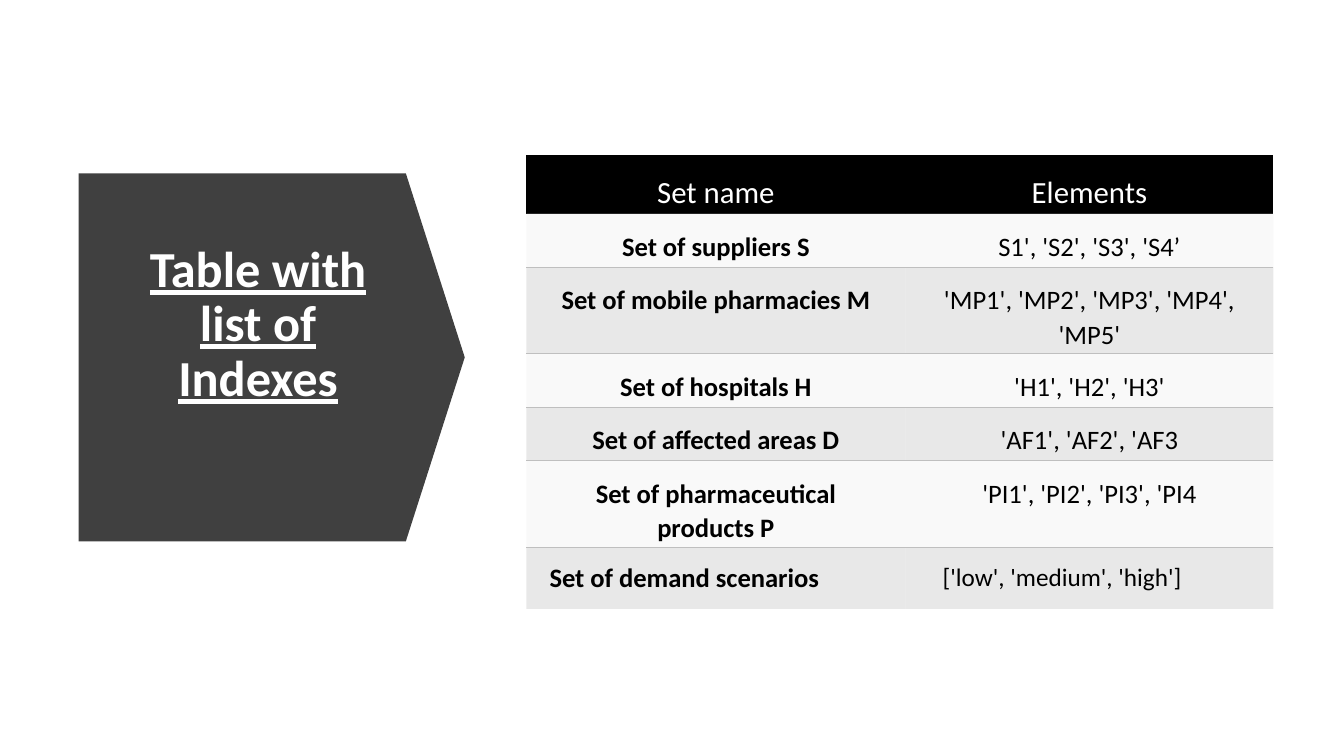
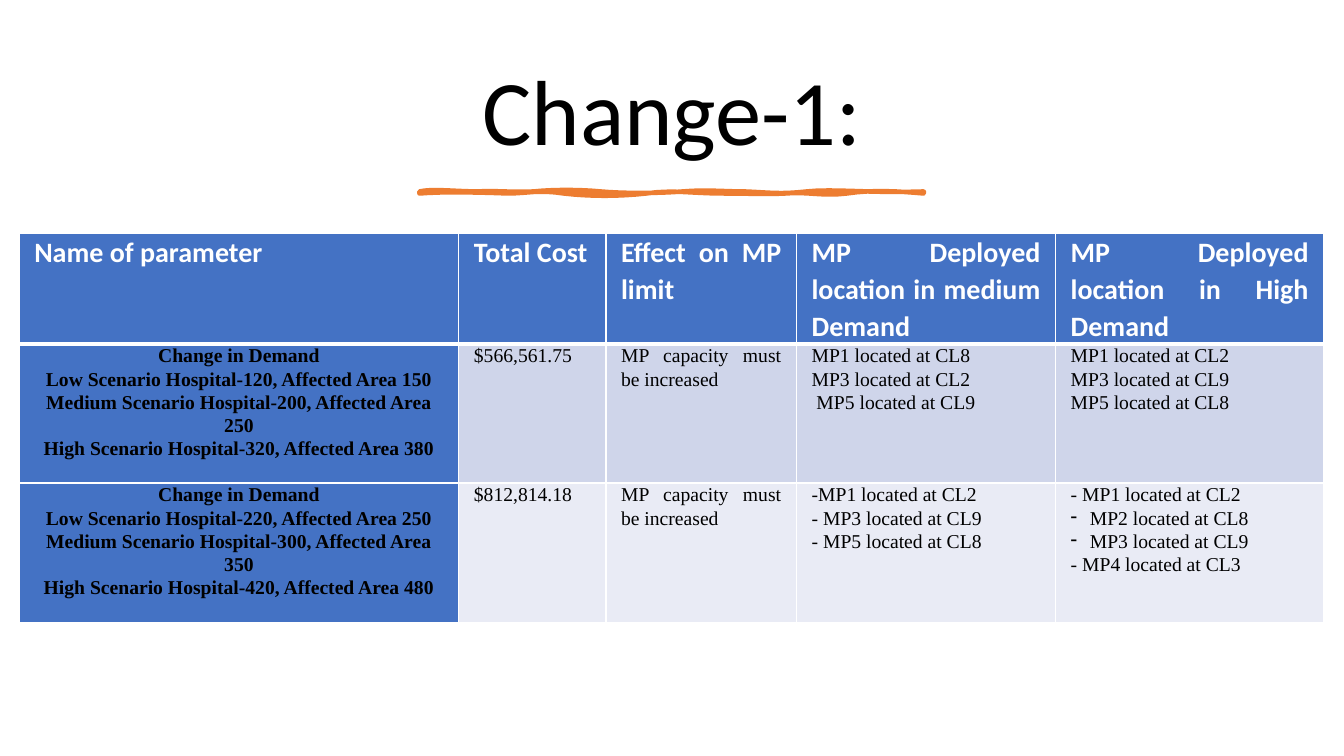
from lxml import etree
from pptx import Presentation
from pptx.dml.color import RGBColor
from pptx.enum.shapes import MSO_SHAPE
from pptx.enum.text import MSO_ANCHOR, MSO_AUTO_SIZE, PP_ALIGN
from pptx.oxml.ns import qn
from pptx.util import Pt

PX = 9144  # EMU per px, 100 px to the inch
TITLE_ONLY = 5
LEFT, CENTER, JUSTIFY = PP_ALIGN.LEFT, PP_ALIGN.CENTER, PP_ALIGN.JUSTIFY
TOP, MIDDLE = MSO_ANCHOR.TOP, MSO_ANCHOR.MIDDLE
NO_AUTOFIT = MSO_AUTO_SIZE.NONE
PENTAGON = MSO_SHAPE.PENTAGON
NO_TABLE_STYLE = "{2D5ABB26-0587-4C30-8999-92F81FD0307C}"

SANS, SERIF = "Calibri", "Times New Roman"
BLACK, WHITE, CHARCOAL = "000000", "FFFFFF", "404040"
PALE, GREY = "F2F2F2", "BFBFBF"
BLUE, ORANGE = "4472C4", "ED7D31"
BANDS = ("CFD5EA", "E9EBF5")

SETS = [
    ("Set name", "Elements"),
    ("Set of suppliers S", "S1', 'S2', 'S3', 'S4’"),
    ("Set of mobile pharmacies M", "'MP1', 'MP2', 'MP3', 'MP4', 'MP5'"),
    ("Set of hospitals H", "'H1', 'H2', 'H3'"),
    ("Set of affected areas D", "'AF1', 'AF2', 'AF3"),
    ("Set of pharmaceutical products P", "'PI1', 'PI2', 'PI3', 'PI4"),
    ("Set of demand scenarios", "['low', 'medium', 'high']"),
]

CHANGES = [
    ("Name of parameter", "Total Cost", "Effect on MP limit",
     "MP Deployed location in medium Demand",
     "MP Deployed location in High Demand"),
    ("Change in Demand\n"
     "Low Scenario Hospital-120, Affected Area 150\n"
     "Medium Scenario Hospital-200, Affected Area 250\n"
     "High Scenario Hospital-320, Affected Area 380",
     "$566,561.75", "MP capacity must be increased",
     "MP1 located at CL8\nMP3 located at CL2\n MP5 located at CL9",
     "MP1 located at CL2\nMP3 located at CL9\nMP5 located at CL8"),
    ("Change in Demand\n"
     "Low Scenario Hospital-220, Affected Area 250\n"
     "Medium Scenario Hospital-300, Affected Area 350\n"
     "High Scenario Hospital-420, Affected Area 480",
     "$812,814.18", "MP capacity must be increased",
     "-MP1 located at CL2\n- MP3 located at CL9\n- MP5 located at CL8",
     "- MP1 located at CL2\nMP2 located at CL8\n"
     "MP3 located at CL9\n- MP4 located at CL3"),
]

# Brush stroke: a start point, then three points for each Bezier curve
BRUSH = [
    (416, 190), (428, 187), (454, 190), (473, 190), (492, 189), (509, 191),
    (529, 190), (549, 188), (574, 188), (596, 190), (617, 192), (653, 192),
    (677, 190), (702, 188), (714, 190), (739, 190), (763, 191), (774, 193),
    (800, 190), (826, 187), (867, 192), (916, 190), (917, 191), (916, 191),
    (916, 192), (895, 190), (865, 188), (840, 192), (815, 195), (801, 190),
    (779, 192), (756, 193), (747, 192), (717, 192), (687, 192), (667, 188),
    (641, 192), (614, 195), (585, 195), (559, 192), (534, 188), (523, 192),
    (503, 192), (483, 191), (438, 190), (416, 192), (416, 191), (416, 190),
    (416, 190),
]


def rgb(value):
    return RGBColor.from_string(value)


def write(frame, text, size=18, font=SANS, color=BLACK, bold=False,
          underline=False, align=LEFT, spacing=1.0):
    """Fill a text frame, one paragraph for each line of text."""
    frame.word_wrap = True
    for index, line in enumerate(text.split("\n")):
        paragraph = frame.add_paragraph() if index else frame.paragraphs[0]
        paragraph.alignment = align
        paragraph.line_spacing = spacing
        paragraph.space_before = paragraph.space_after = Pt(0)
        run = paragraph.add_run()
        run.text = line
        run.font.size, run.font.name = Pt(size), font
        run.font.bold, run.font.underline = bold, underline
        run.font.color.rgb = rgb(color)


def bezier_points(points, steps=8):
    """Points along a chain of cubic curves, in EMU."""
    for first in range(0, len(points) - 1, 3):
        curve = points[first:first + 4]
        for step in range(1, steps + 1):
            t = step / steps
            weights = ((1 - t) ** 3, 3 * t * (1 - t) ** 2,
                       3 * t * t * (1 - t), t ** 3)
            yield tuple(PX * sum(weight * point[axis]
                                 for weight, point in zip(weights, curve))
                        for axis in (0, 1))


class Deck:
    def __init__(self):
        self.presentation = Presentation()
        self.presentation.slide_width = 1333 * PX
        self.presentation.slide_height = 750 * PX
        self.slide = None

    def add_slide(self):
        layout = self.presentation.slide_layouts[TITLE_ONLY]
        self.slide = self.presentation.slides.add_slide(layout)

    def title(self, text, left, top, width, height, **text_format):
        title = self.slide.shapes.title
        title.left, title.top = left * PX, top * PX
        title.width, title.height = width * PX, height * PX
        title.text_frame.auto_size = NO_AUTOFIT
        title.text_frame.vertical_anchor = MIDDLE
        write(title.text_frame, text, align=CENTER, spacing=0.9, **text_format)

    def pentagon(self, left, top, width, height, tip, color):
        shape = self.slide.shapes.add_shape(
            PENTAGON, left * PX, top * PX, width * PX, height * PX)
        shape.adjustments[0] = tip
        shape.shadow.inherit = False
        shape.fill.solid()
        shape.fill.fore_color.rgb = rgb(color)
        shape.line.fill.background()
        # Keep the title in front of its panel
        title = self.slide.shapes.title
        shape._element.addnext(title._element)

    def brush(self, points, color, weight):
        start_x, start_y = points[0]
        builder = self.slide.shapes.build_freeform(start_x * PX, start_y * PX)
        builder.add_line_segments(list(bezier_points(points)), close=True)
        shape = builder.convert_to_shape()
        shape.shadow.inherit = False
        shape.fill.solid()
        shape.fill.fore_color.rgb = rgb(color)
        shape.line.color.rgb = rgb(color)
        shape.line.width = Pt(weight)

    def table(self, left, top, columns, rows):
        frame = self.slide.shapes.add_table(
            len(rows), len(columns), left * PX, top * PX,
            sum(columns) * PX, sum(rows) * PX)
        table = frame.table
        table.first_row = table.horz_banding = False
        table._tbl.tblPr.find(qn("a:tableStyleId")).text = NO_TABLE_STYLE
        for column, width in zip(table.columns, columns):
            column.width = width * PX
        for row, height in zip(table.rows, rows):
            row.height = height * PX
        return table

    def cell(self, cell, text, fill, margins, borders, alpha=100,
             anchor=TOP, **text_format):
        """Margins run left, top, right, bottom; borders map side to style."""
        (cell.margin_left, cell.margin_top, cell.margin_right,
         cell.margin_bottom) = (margin * PX for margin in margins)
        cell.vertical_anchor = anchor
        write(cell.text_frame, text, **text_format)
        properties = cell._tc.get_or_add_tcPr()
        for side in "LRTB":
            if side in borders:
                color, weight = borders[side]
                line = etree.SubElement(properties, qn("a:ln" + side),
                                        w=str(Pt(weight)))
                solid = etree.SubElement(line, qn("a:solidFill"))
                etree.SubElement(solid, qn("a:srgbClr"), val=color)
        cell.fill.solid()
        cell.fill.fore_color.rgb = rgb(fill)
        if alpha < 100:
            etree.SubElement(properties.find(qn("a:solidFill"))[0],
                             qn("a:alpha"), val=str(alpha * 1000))

    def bullet(self, paragraph, mark, indent):
        properties = paragraph._p.get_or_add_pPr()
        properties.set("marL", str(indent * PX))
        properties.set("indent", str(-indent * PX))
        etree.SubElement(properties, qn("a:buChar"), char=mark)


def index_slide(deck):
    deck.add_slide()
    deck.pentagon(78, 172, 383, 365, tip=0.16, color=CHARCOAL)
    deck.title("Table with list of Indexes", 112, 215, 288, 216,
               size=36, color=WHITE, bold=True, underline=True)

    # Table of sets: dark header, then alternating pale and grey rows
    table = deck.table(522, 154, (376, 365), (58, 53, 86, 53, 53, 86, 61))
    last = len(SETS) - 1
    for r, row in enumerate(SETS):
        for c, text in enumerate(row):
            style = dict(fill=PALE, alpha=45, borders={}, size=19,
                         margins=(23, 15, 23, 0), bold=c == 0,
                         align=CENTER, spacing=1.07)
            if r == 0:
                style.update(fill=BLACK, alpha=100, size=22, color=WHITE,
                             bold=False, anchor=MIDDLE)
            elif r % 2 == 0:
                style.update(fill=GREY, alpha=35, borders={"T": (GREY, 1)})
            if r == last:
                style.update(align=LEFT, spacing=1.0)
                if c == 1:
                    style.update(size=18, margins=(37, 15, 31, 15))
            deck.cell(table.cell(r, c), text, **style)


def change_slide(deck):
    deck.add_slide()
    deck.title("Change-1:", 70, 46, 1193, 137, size=66)
    deck.brush(BRUSH, ORANGE, 3.25)

    # Table of changes: blue header and first column, banded values
    table = deck.table(19, 232, (436, 146, 189, 257, 266), (109, 138, 138))
    for r, row in enumerate(CHANGES):
        for c, text in enumerate(row):
            borders = {side: (WHITE, 1) for side in "LRTB"}
            if r < 2:
                borders["B" if r == 0 else "T"] = (WHITE, 3)
            style = dict(fill=BLUE, bold=True, align=JUSTIFY)
            if r == 0:
                style.update(size=20, color=WHITE)
            else:
                style.update(size=14, font=SERIF)
                if c == 0:
                    style.update(align=CENTER)
                else:
                    style.update(fill=BANDS[r - 1], bold=False)
            deck.cell(table.cell(r, c), text, margins=(15, 0, 15, 0),
                      borders=borders, spacing=1.07, **style)
    for paragraph in table.cell(2, 4).text_frame.paragraphs[1:3]:
        deck.bullet(paragraph, "-", 19)


def main():
    deck = Deck()
    index_slide(deck)
    change_slide(deck)
    deck.presentation.save("out.pptx")


if __name__ == "__main__":
    main()
